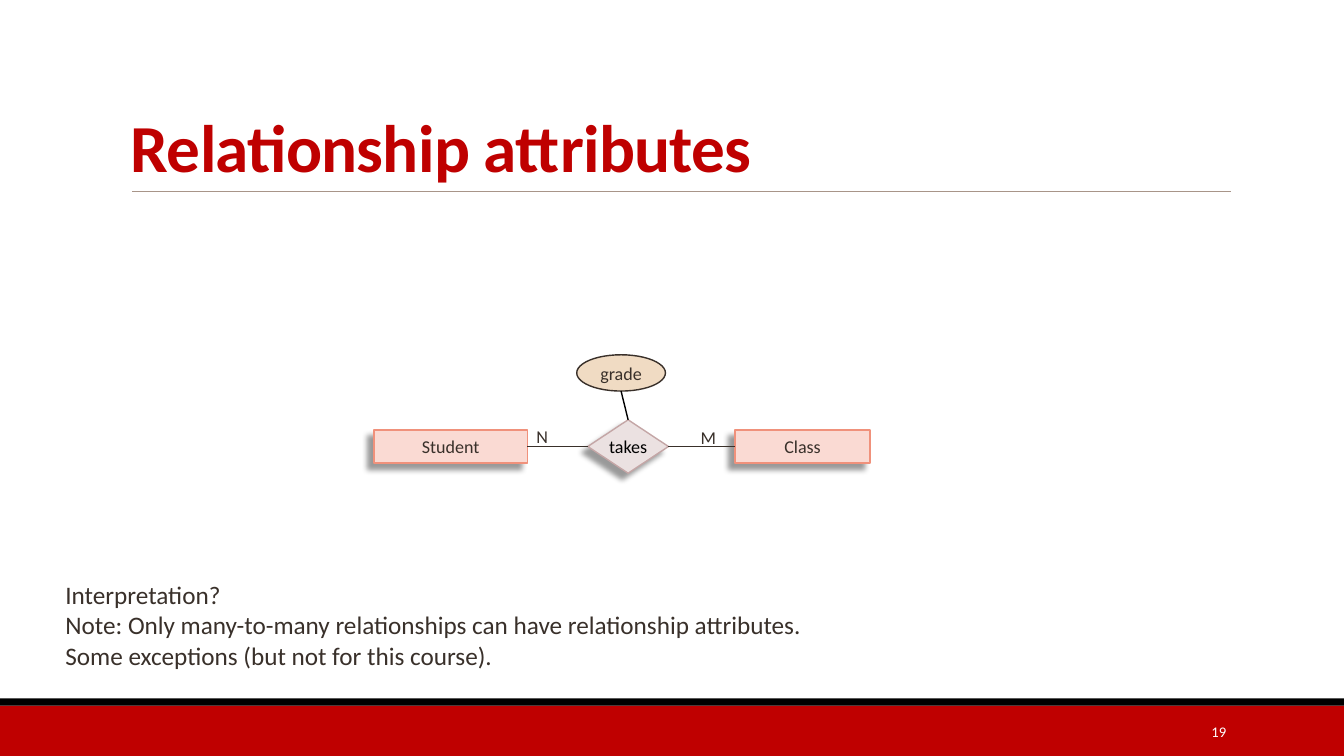
from lxml import etree
from pptx import Presentation
from pptx.dml.color import RGBColor
from pptx.enum.shapes import MSO_CONNECTOR, MSO_SHAPE as Kind
from pptx.enum.text import MSO_ANCHOR as Anchor, PP_ALIGN as Align
from pptx.oxml import parse_xml
from pptx.oxml.ns import nsdecls, qn
from pptx.util import Inches, Pt

RED = RGBColor(0xBF, 0x00, 0x00)
BLACK = RGBColor(0x00, 0x00, 0x00)
WHITE = RGBColor(0xFF, 0xFF, 0xFF)
INK = RGBColor(0x39, 0x30, 0x2A)
RULE = RGBColor(0xA8, 0x95, 0x89)
PINK = RGBColor(0xFA, 0xDA, 0xD3)
CORAL = RGBColor(0xF0, 0x91, 0x7B)
MAUVE = RGBColor(0xEB, 0xE1, 0xE1)
ROSE = RGBColor(0xC4, 0xA6, 0xA6)
SAND = RGBColor(0xF0, 0xDB, 0xC3)

FONT = "Calibri"
LABEL_SIZE = 12.9
TITLE = "Relationship attributes"
PAGE_NUMBER = "19"
NOTES = [
    "Interpretation?",
    "Note: Only many-to-many relationships can have relationship attributes.",
    "Some exceptions (but not for this course).",
]
ROW_MIDDLE = 4.43  # height of the Student - takes - Class row
GRADE_MIDDLE = 3.7
# name: kind, left, middle, width, height, fill, outline, text colour, shadow
NODES = {
    "Class": (Kind.RECTANGLE, 7.29, ROW_MIDDLE, 1.34, 0.33, PINK, CORAL, INK, True),
    "Student": (Kind.RECTANGLE, 3.71, ROW_MIDDLE, 1.52, 0.33, PINK, CORAL, INK, True),
    "takes": (Kind.DIAMOND, 5.83, ROW_MIDDLE, 0.8, 0.53, MAUVE, ROSE, BLACK, True),
    "grade": (Kind.OVAL, 5.72, GRADE_MIDDLE, 0.88, 0.36, SAND, INK, INK, False),
}
CARDINALITIES = [("M", 6.86, 4.18, 0.39), ("N", 5.23, 4.17, 0.32)]
TOP, LEFT, RIGHT = 0, 1, 3

deck = Presentation()
deck.slide_width, deck.slide_height = Inches(13.33), Inches(7.5)
page = deck.slides.add_slide(deck.slide_layouts[6])


def write(shape, lines, size, colour, align=Align.LEFT, anchor=Anchor.TOP,
          wrap=True, margins=(0.1, 0.05), bold=False):
    frame = shape.text_frame
    frame.word_wrap = wrap
    frame.vertical_anchor = anchor
    frame.margin_left = frame.margin_right = Inches(margins[0])
    frame.margin_top = frame.margin_bottom = Inches(margins[1])
    for index, line in enumerate(lines):
        para = frame.add_paragraph() if index else frame.paragraphs[0]
        para.alignment = align
        span = para.add_run()
        span.text = line
        span.font.name, span.font.size = FONT, Pt(size)
        span.font.bold, span.font.color.rgb = bold, colour


def add_text(left, top, width, height, *content, **style):
    box = page.shapes.add_textbox(Inches(left), Inches(top), Inches(width), Inches(height))
    write(box, *content, **style)
    return box


def add_filled(kind, left, top, width, height, fill):
    shape = page.shapes.add_shape(kind, Inches(left), Inches(top), Inches(width), Inches(height))
    shape.shadow.inherit = False
    shape.fill.solid()
    shape.fill.fore_color.rgb = fill
    shape.line.fill.background()
    return shape


def add_line(start, end, colour, width=1):
    line = page.shapes.add_connector(MSO_CONNECTOR.STRAIGHT, *map(Inches, start + end))
    line.line.color.rgb, line.line.width = colour, Pt(width)
    etree.SubElement(line._element.spPr, qn("a:effectLst"))
    return line


def cast_shadow(shape):
    """Soft 40% black shadow towards the lower left."""
    effects = shape._element.spPr.find(qn("a:effectLst"))
    effects.append(parse_xml(
        f'<a:outerShdw {nsdecls("a")} blurRad="{Pt(4)}" dist="{Pt(6)}" dir="8100000" '
        'algn="tr" rotWithShape="0"><a:srgbClr val="000000"><a:alpha val="40000"/>'
        '</a:srgbClr></a:outerShdw>'))


add_filled(Kind.RECTANGLE, 0, 7, 13.33, 0.5, RED)
add_filled(Kind.RECTANGLE, 0, 6.93, 13.33, 0.07, BLACK)
add_line((1.31, 1.9), (12.21, 1.9), RULE, 0.5)

title = add_text(1.2, 0.31, 11, 1.59, [TITLE], 48, RED, anchor=Anchor.BOTTOM, bold=True)
heading = title.text_frame.paragraphs[0]
heading.line_spacing = 0.85
heading.runs[0].font._element.set("spc", "-50")
add_text(10.83, 7.06, 1.43, 0.4, [PAGE_NUMBER], 10.5, WHITE,
         align=Align.RIGHT, anchor=Anchor.MIDDLE)

nodes = {}
for name, (kind, left, middle, width, height, fill, outline, ink, shadow) in NODES.items():
    node = add_filled(kind, left, middle - height / 2, width, height, fill)
    node.line.color.rgb, node.line.width = outline, Pt(1)
    if shadow:
        cast_shadow(node)
    write(node, [name], LABEL_SIZE, ink, align=Align.CENTER, anchor=Anchor.MIDDLE,
          wrap=False, margins=(0, 0))
    nodes[name] = node

for letter, left, top, width in CARDINALITIES:
    add_text(left, top, width, 0.31, [letter], LABEL_SIZE, INK, wrap=False, margins=(0.09, 0.05))

for entity, entity_side, takes_side in [("Class", LEFT, RIGHT), ("Student", RIGHT, LEFT)]:
    link = add_line((0, 0), (0, 0), INK)
    link.begin_connect(nodes[entity], entity_side)
    link.end_connect(nodes["takes"], takes_side)
grade_link = add_line((6.16, 3.88), (6.23, 4.17), BLACK)
grade_link.end_connect(nodes["takes"], TOP)

add_text(0.55, 5.7, 8.08, 1.31, NOTES, 18, INK)

deck.save("out.pptx")
